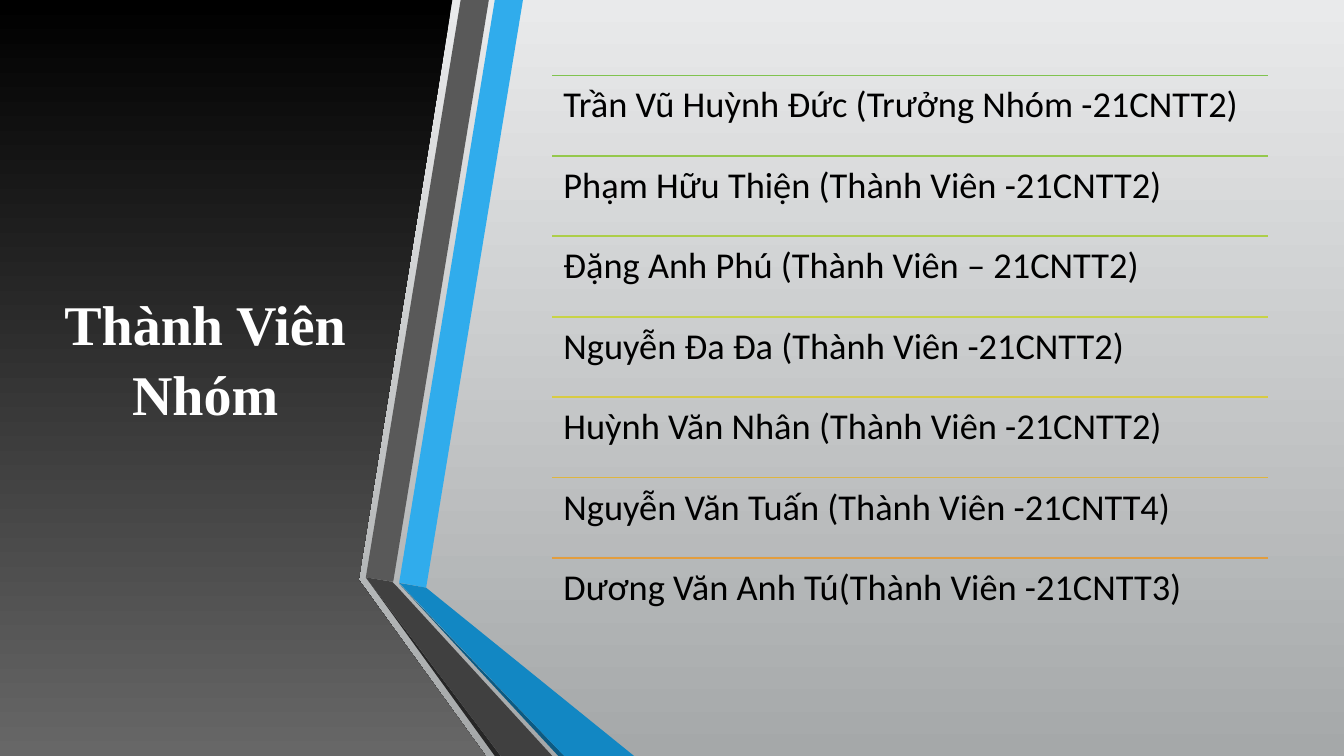
import pptx
import pptx.util
import pptx.dml.color
import pptx.enum.shapes
import pptx.enum.text
import pptx.oxml.ns
import lxml.etree

Cm, Pt = pptx.util.Cm, pptx.util.Pt
WIDE, HIGH = 33.87, 19.05

HUES = {
    "pale": "E9EAEB", "mist": "A5A8A9", "black": "000000", "ash": "676767",
    "white": "FFFFFF", "sky": "30ACEC", "grey": "595959", "soot": "262626",
    "navy": "0C5A82", "blue": "1287C3", "coal": "404040",
}

# Ribbon outlines in cm, from the left edge of the ribbon box
BANDS = [
    ("sky", [(0.84, 14.68), (1.52, 14.81), (3.96, 0), (3.25, 0)]),
    ("grey", [(3.1, 0), (2.39, 0), (0, 14.55), (0.69, 14.66)]),
    ("soot", [(0, 14.55), (3.25, HIGH), (3.4, HIGH)]),
    ("navy", [(0.84, 14.71), (4.85, HIGH), (5, HIGH)]),
    ("blue", [(0.84, 14.69), (5, HIGH), (6.76, HIGH), (1.52, 14.81)]),
    ("coal", [(4.7, HIGH), (0.81, 14.81), (0.66, 14.66), (0, 14.55),
              (3.4, HIGH)]),
]
PANEL = [(0, 0), (11.4, 0), (9.04, 14.61), (12.24, HIGH), (0, HIGH)]

MEMBERS = [
    ("Trần Vũ Huỳnh Đức (Trưởng Nhóm -21CNTT2)", "80C34F"),
    ("Phạm Hữu Thiện (Thành Viên -21CNTT2)", "95C84C"),
    ("Đặng Anh Phú (Thành Viên – 21CNTT2)", "ADCE49"),
    ("Nguyễn Đa Đa (Thành Viên -21CNTT2)", "C8D346"),
    ("Huỳnh Văn Nhân (Thành Viên -21CNTT2)", "D8CB43"),
    ("Nguyễn Văn Tuấn (Thành Viên -21CNTT4)", "DDB541"),
    ("Dương Văn Anh Tú(Thành Viên -21CNTT3)", "E29D3E"),
]


def rgb(code):
    return pptx.dml.color.RGBColor.from_string(code)


def shade(fill, top, low):
    """Fill with a gradient that runs straight down."""
    fill.gradient()
    fill.gradient_angle = 270
    for stop, name in zip(fill.gradient_stops, (top, low)):
        stop.color.rgb = rgb(HUES[name])


def outline(slide, left, top, points):
    """Add a closed, lineless shape whose points are relative to left, top."""
    spots = [(Cm(left + x), Cm(top + y)) for x, y in points]
    pen = slide.shapes.build_freeform(*spots[0])
    pen.add_line_segments(spots[1:], close=True)
    shape = pen.convert_to_shape()
    shape.shadow.inherit = False
    shape.line.fill.background()
    return shape


def write(slide, box, text, font, size, hue, inset):
    area = slide.shapes.add_textbox(*map(Cm, box))
    frame = area.text_frame
    frame.word_wrap = True
    frame.margin_left = frame.margin_right = Cm(inset)
    frame.margin_top = frame.margin_bottom = Cm(inset)
    para = frame.paragraphs[0]
    para.text = text
    para.font.name = font
    para.font.size = Pt(size)
    para.font.color.rgb = rgb(HUES[hue])
    return frame


def add_panel(slide, left, top):
    shape = outline(slide, left, top, PANEL)
    shade(shape.fill, "black", "ash")


def add_title(slide, left, top, width, height):
    frame = write(slide, (left, top, width, height), "Thành Viên Nhóm",
                  "Times New Roman", 40, "white", 0)
    frame.vertical_anchor = pptx.enum.text.MSO_ANCHOR.MIDDLE
    para = frame.paragraphs[0]
    para.alignment = pptx.enum.text.PP_ALIGN.CENTER
    para.line_spacing = 1.05
    para.font.bold = True


def add_bands(slide, left, top):
    for hue, points in BANDS:
        shape = outline(slide, left, top, points)
        shape.fill.solid()
        shape.fill.fore_color.rgb = rgb(HUES[hue])


def add_list(slide, left, top, width, height):
    step = height / len(MEMBERS)
    for i, (name, hue) in enumerate(MEMBERS):
        y = top + i * step
        rule = slide.shapes.add_connector(
            pptx.enum.shapes.MSO_CONNECTOR.STRAIGHT,
            Cm(left), Cm(y), Cm(left + width), Cm(y))
        rule.line.color.rgb = rgb(hue)
        rule.line.width = Pt(1.25)
        lxml.etree.SubElement(rule._element.spPr,
                              pptx.oxml.ns.qn("a:effectLst"))
        frame = write(slide, (left, y, width, step), name,
                      "Calibri", 26, "black", 0.28)
        frame.paragraphs[0].line_spacing = 0.9


def main():
    deck = pptx.Presentation()
    deck.slide_width, deck.slide_height = Cm(WIDE), Cm(HIGH)
    slide = deck.slides.add_slide(deck.slide_layouts[6])
    shade(slide.background.fill, "pale", "mist")
    add_panel(slide, 0, 0)
    add_title(slide, 1.5, 1.9, 7.34, 14.17)
    add_bands(slide, 9.22, 0)
    add_list(slide, 13.92, 1.9, 18.03, 14.19)
    deck.save("out.pptx")


if __name__ == "__main__":
    main()
